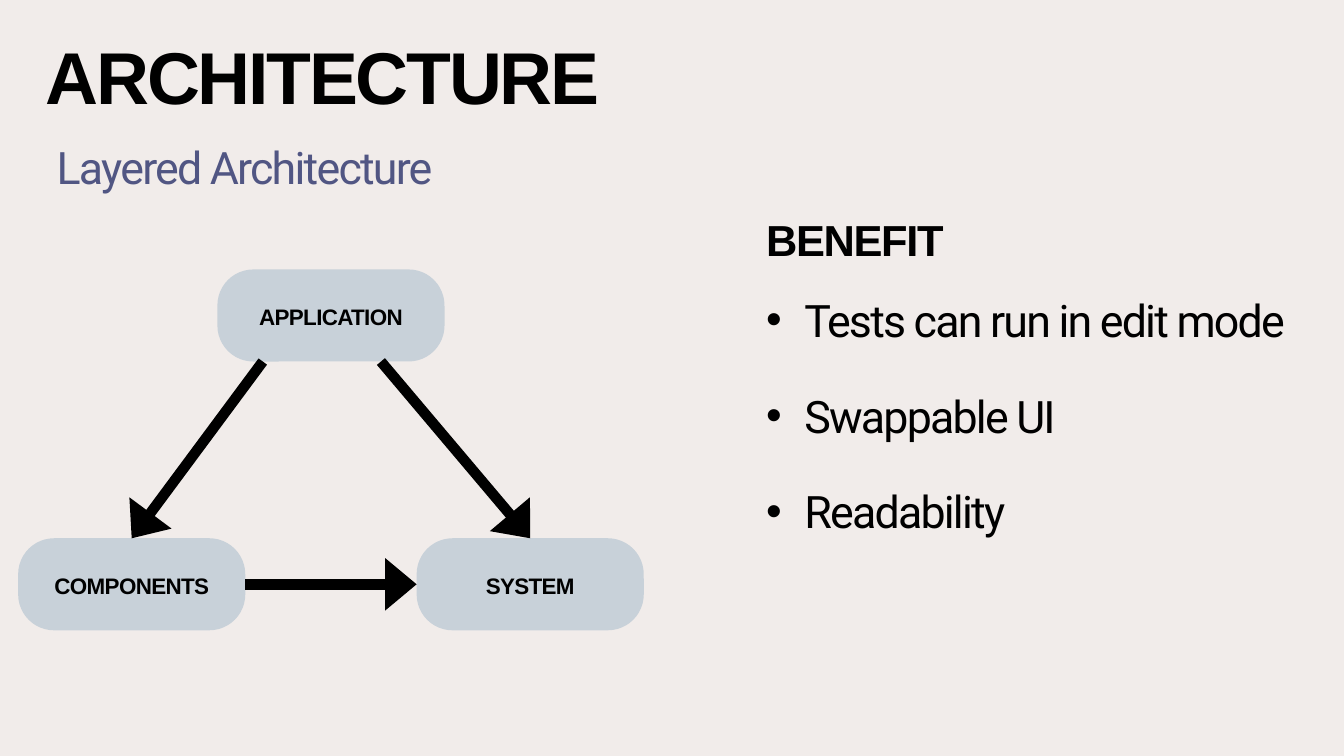
from dataclasses import dataclass

from lxml.etree import SubElement
from pptx import Presentation
from pptx.dml.color import RGBColor
from pptx.enum.shapes import MSO_CONNECTOR as Connector, MSO_SHAPE as Shape
from pptx.enum.text import MSO_ANCHOR as Anchor, PP_ALIGN as Align
from pptx.oxml.ns import qn
from pptx.util import Inches, Pt

COLUMNS, ROWS = 20, 11.25  # grid of one-inch cells


@dataclass(frozen=True)
class TextStyle:
    font: str
    size: float
    line: float
    tracking: float
    color: str = "000000"
    bold: bool = False


@dataclass(frozen=True)
class Theme:
    background: str = "F1ECEA"
    node: str = "C8D1D9"
    arrow: str = "000000"
    arrow_width: float = 11.25
    title: TextStyle = TextStyle("Arial", 78.6, 94.3, -2.4, bold=True)
    subtitle: TextStyle = TextStyle("Roboto", 47.9, 51.3, -1.9, "515683")
    heading: TextStyle = TextStyle("Arial", 46.5, 55.8, -1.4, bold=True)
    body: TextStyle = TextStyle("Roboto", 47.9, 51.3, -1.9)
    label: TextStyle = TextStyle("Arial", 24, 28.8, -0.7, bold=True)


THEME = Theme()


@dataclass(frozen=True)
class Box:
    left: float
    top: float
    width: float
    height: float

    def point(self, across, down):
        """Position at the given shares of the box's width and height."""
        return self.left + across * self.width, self.top + down * self.height

    def lengths(self):
        return [Inches(n) for n in (self.left, self.top, self.width, self.height)]


def prepare_frame(frame, anchor=Anchor.TOP, top_inset=0):
    frame.word_wrap = True
    frame.vertical_anchor = anchor
    frame.margin_left = frame.margin_right = frame.margin_bottom = 0
    frame.margin_top = Inches(top_inset)


def write(paragraph, text, style, align=Align.LEFT):
    run = paragraph.add_run()
    run.text = text
    run._r.get_or_add_rPr().set("spc", str(round(style.tracking * 100)))
    paragraph.alignment = align
    paragraph.line_spacing = Pt(style.line)
    font = paragraph.font
    font.name, font.size, font.bold = style.font, Pt(style.size), style.bold
    font.color.rgb = RGBColor.from_string(style.color)


def add_bullet(paragraph, margin, hanging):
    properties = paragraph._p.get_or_add_pPr()
    properties.set("marL", str(Inches(margin)))
    properties.set("indent", str(-Inches(hanging)))
    SubElement(properties, qn("a:buFont")).set("typeface", "Arial")
    SubElement(properties, qn("a:buChar")).set("char", "•")


def add_text(slide, box, text, style, align=Align.LEFT):
    frame = slide.shapes.add_textbox(*box.lengths()).text_frame
    prepare_frame(frame)
    write(frame.paragraphs[0], text, style, align)


def add_header(slide, box):
    # Title over subtitle
    title = slide.shapes.title
    title.left, title.top, title.width, title.height = Box(
        box.left, box.top, box.width, 1.43).lengths()
    prepare_frame(title.text_frame)
    write(title.text_frame.paragraphs[0], "ARCHITECTURE", THEME.title)
    add_text(slide, Box(box.left, box.top + 1.7, 5.92, 0.73),
             "Layered Architecture", THEME.subtitle, Align.CENTER)


def add_node(slide, box, label):
    node = slide.shapes.add_shape(Shape.ROUNDED_RECTANGLE, *box.lengths())
    node.adjustments[0] = 0.39
    node.shadow.inherit = False
    node.fill.solid()
    node.fill.fore_color.rgb = RGBColor.from_string(THEME.node)
    node.line.fill.background()
    prepare_frame(node.text_frame, Anchor.MIDDLE, top_inset=0.04)
    write(node.text_frame.paragraphs[0], label, THEME.label, Align.CENTER)


def add_arrow(slide, start, end):
    arrow = slide.shapes.add_connector(
        Connector.STRAIGHT, *[Inches(n) for n in (*start, *end)])
    arrow.line.width = Pt(THEME.arrow_width)
    arrow.line.color.rgb = RGBColor.from_string(THEME.arrow)
    tail = SubElement(arrow.line._get_or_add_ln(), qn("a:tailEnd"))
    tail.set("type", "triangle")
    tail.set("w", "lg")
    SubElement(arrow._element.spPr, qn("a:effectLst"))


def add_layer_diagram(slide, box):
    # One node centred above two
    width, height = 3.38, 1.37
    bottom = box.top + box.height - height
    right = box.left + box.width - width
    application = Box((box.left + right) / 2, box.top, width, height)
    components = Box(box.left, bottom, width, height)
    system = Box(right, bottom, width, height)
    add_node(slide, application, "APPLICATION")
    add_node(slide, components, "COMPONENTS")
    add_node(slide, system, "SYSTEM")

    # Dependencies between the layers
    add_arrow(slide, application.point(0.2, 1), components.point(0.5, 0))
    add_arrow(slide, application.point(0.72, 1), system.point(0.5, 0))
    add_arrow(slide, components.point(1, 0.5), system.point(0, 0.5))


def add_benefits(slide, box):
    # Heading, indented to the bullets
    margin, hanging = 1.13, 0.57
    add_text(slide, Box(box.left + margin - hanging, box.top, 3.6, 0.83),
             "BENEFIT", THEME.heading)

    # Bullets, one empty line's height apart
    list_box = Box(box.left, box.top + 1.27, box.width, box.height - 1.27)
    frame = slide.shapes.add_textbox(*list_box.lengths()).text_frame
    prepare_frame(frame)
    benefits = ["Tests can run in edit mode", "Swappable UI", "Readability"]
    for index, benefit in enumerate(benefits):
        paragraph = frame.add_paragraph() if index else frame.paragraphs[0]
        if index:
            paragraph.space_before = Pt(THEME.body.line)
        paragraph.line_spacing = Pt(THEME.body.line)
        add_bullet(paragraph, margin, hanging)
        write(paragraph, benefit, THEME.body)


def main():
    presentation = Presentation()
    presentation.slide_width = Inches(COLUMNS)
    presentation.slide_height = Inches(ROWS)
    slide = presentation.slides.add_slide(presentation.slide_layouts[5])
    slide.background.fill.solid()
    slide.background.fill.fore_color.rgb = RGBColor.from_string(THEME.background)

    add_header(slide, Box(0.68, 0.46, 14.54, 2.43))
    add_layer_diagram(slide, Box(0.27, 4.01, 9.31, 5.37))
    add_benefits(slide, Box(10.84, 3.17, COLUMNS - 10.84, 4.84))
    presentation.save("out.pptx")


if __name__ == "__main__":
    main()
